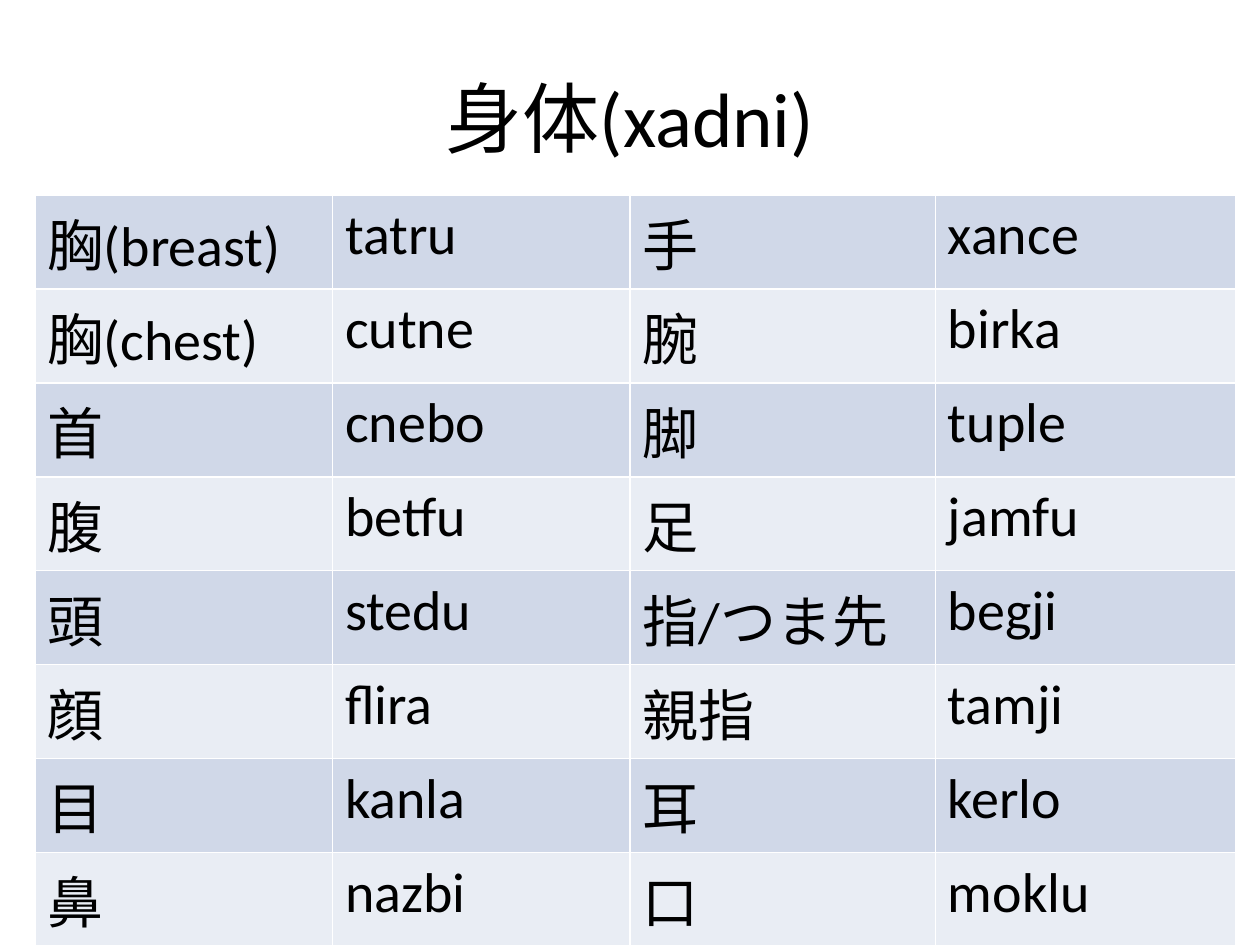
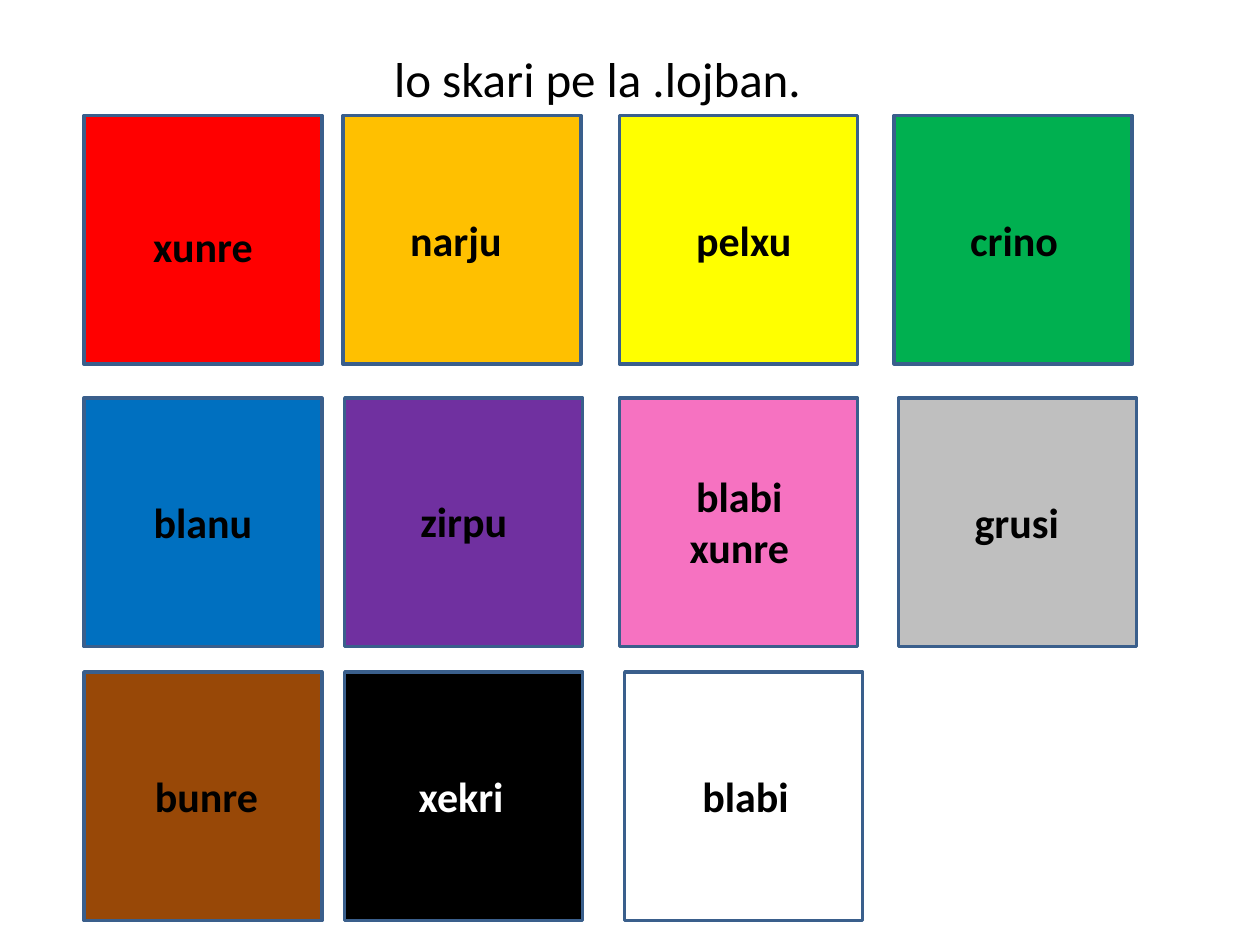
from dataclasses import dataclass

from lxml import etree
from pptx import Presentation
from pptx import util as u
from pptx.dml.color import RGBColor
from pptx.enum import shapes, text
from pptx.oxml import ns


@dataclass(frozen=True)
class Theme:
    font: str = "Calibri"
    ink: str = "000000"
    paper: str = "FFFFFF"
    bands: tuple = ("D0D8E8", "E9EDF4")
    outline: str = "3A5F8C"
    title_size: int = 44
    subtitle_size: int = 28
    cell_size: int = 32
    label_size: int = 24


T = Theme()
ALIGN = text.PP_ALIGN
ANCHOR = text.MSO_ANCHOR

BODY_WORDS = [
    ("胸(breast)", "tatru", "手", "xance"),
    ("胸(chest)", "cutne", "腕", "birka"),
    ("首", "cnebo", "脚", "tuple"),
    ("腹", "betfu", "足", "jamfu"),
    ("頭", "stedu", "指/つま先", "begji"),
    ("顔", "flira", "親指", "tamji"),
    ("目", "kanla", "耳", "kerlo"),
    ("鼻", "nazbi", "口", "moklu"),
]
WORD_COLUMNS = (170, 170, 174.5, 171.5)
WORD_ROW = 51

# Each row: top, then swatches as (word, fill, left, label left, label top)
SWATCH_W, SWATCH_H = 136, 142
LABEL_W, LABEL_H = 82, 36
COLOUR_ROWS = [
    (66, [("xunre", "FF0000", 48, 75, 122.5),
          ("narju", "FFC000", 196, 219.5, 119),
          ("pelxu", "FFFF00", 354, 384, 119),
          ("crino", "00B050", 511, 538.5, 119)]),
    (227.5, [("blanu", "0070C0", 48, 75, 280),
             ("zirpu", "7030A0", 197, 224, 279.5),
             ("blabi\nxunre", "F672C1", 354, 381.5, 265.5),
             ("grusi", "BFBFBF", 513.5, 540, 280)]),
    (384, [("bunre", "984807", 48, 77, 436.5),
           ("xekri", "000000", 197, 222.5, 436.5),
           ("blabi", "FFFFFF", 357, 385, 436.5)]),
]


def rgb(value):
    return RGBColor.from_string(value)


def box(left, top, width, height):
    return [u.Pt(v) for v in (left, top, width, height)]


def write(tf, words, size, align=ALIGN.LEFT, color=T.ink, bold=False):
    tf.text = words
    for p in tf.paragraphs:
        p.alignment = align
        for r in p.runs:
            r.font.name = T.font
            r.font.size = u.Pt(size)
            r.font.bold = bold
            r.font.color.rgb = rgb(color)


def add_titled_slide(prs, title, frame, size, align, anchor):
    s = prs.slides.add_slide(prs.slide_layouts[5])
    sp = s.shapes.title
    sp.left, sp.top, sp.width, sp.height = box(*frame)
    tf = sp.text_frame
    tf.word_wrap = True
    tf.auto_size = text.MSO_AUTO_SIZE.NONE
    tf.vertical_anchor = anchor
    write(tf, title, size, align)
    return s


def set_borders(cell, color, width):
    tc_pr = cell._tc.get_or_add_tcPr()
    for side in ("lnL", "lnR", "lnT", "lnB"):
        ln = etree.SubElement(tc_pr, ns.qn(f"a:{side}"), w=str(u.Pt(width)))
        fill = etree.SubElement(ln, ns.qn("a:solidFill"))
        etree.SubElement(fill, ns.qn("a:srgbClr"), val=color)


def add_word_table(s, rows, left, top):
    frame = box(left, top, sum(WORD_COLUMNS), WORD_ROW * len(rows))
    table = s.shapes.add_table(len(rows), len(WORD_COLUMNS), *frame).table
    table.first_row = False
    for column, width in zip(table.columns, WORD_COLUMNS):
        column.width = u.Pt(width)
    for i, words in enumerate(rows):
        table.rows[i].height = u.Pt(WORD_ROW)
        for j, word in enumerate(words):
            cell = table.cell(i, j)
            set_borders(cell, T.paper, 1)
            cell.fill.solid()
            cell.fill.fore_color.rgb = rgb(T.bands[i % 2])
            write(cell.text_frame, word, T.cell_size)


def add_swatch(s, left, top, fill):
    sp = s.shapes.add_shape(shapes.MSO_SHAPE.RECTANGLE,
                            *box(left, top, SWATCH_W, SWATCH_H))
    sp.shadow.inherit = False
    sp.fill.solid()
    sp.fill.fore_color.rgb = rgb(fill)
    sp.line.color.rgb = rgb(T.outline)
    sp.line.width = u.Pt(2)


def add_label(s, word, left, top, color):
    height = LABEL_H + 29.5 * word.count("\n")
    tf = s.shapes.add_textbox(*box(left, top, LABEL_W, height)).text_frame
    tf.word_wrap = True
    write(tf, word, T.label_size, ALIGN.CENTER, color, bold=True)


def main():
    prs = Presentation()
    prs.slide_width, prs.slide_height = u.Pt(720), u.Pt(540)

    # Body vocabulary
    s = add_titled_slide(prs, "身体(xadni)", (36, 21.6, 648, 90),
                         T.title_size, ALIGN.CENTER, ANCHOR.MIDDLE)
    add_word_table(s, BODY_WORDS, 20, 111.5)

    # Colour swatches
    s = add_titled_slide(prs, "lo skari pe la .lojban.", (218, 24, 272, 41),
                         T.subtitle_size, ALIGN.LEFT, ANCHOR.TOP)
    for top, swatches in COLOUR_ROWS:
        for word, fill, left, label_left, label_top in swatches:
            add_swatch(s, left, top, fill)
            color = T.paper if fill == T.ink else T.ink
            add_label(s, word, label_left, label_top, color)

    prs.save("out.pptx")


if __name__ == "__main__":
    main()
